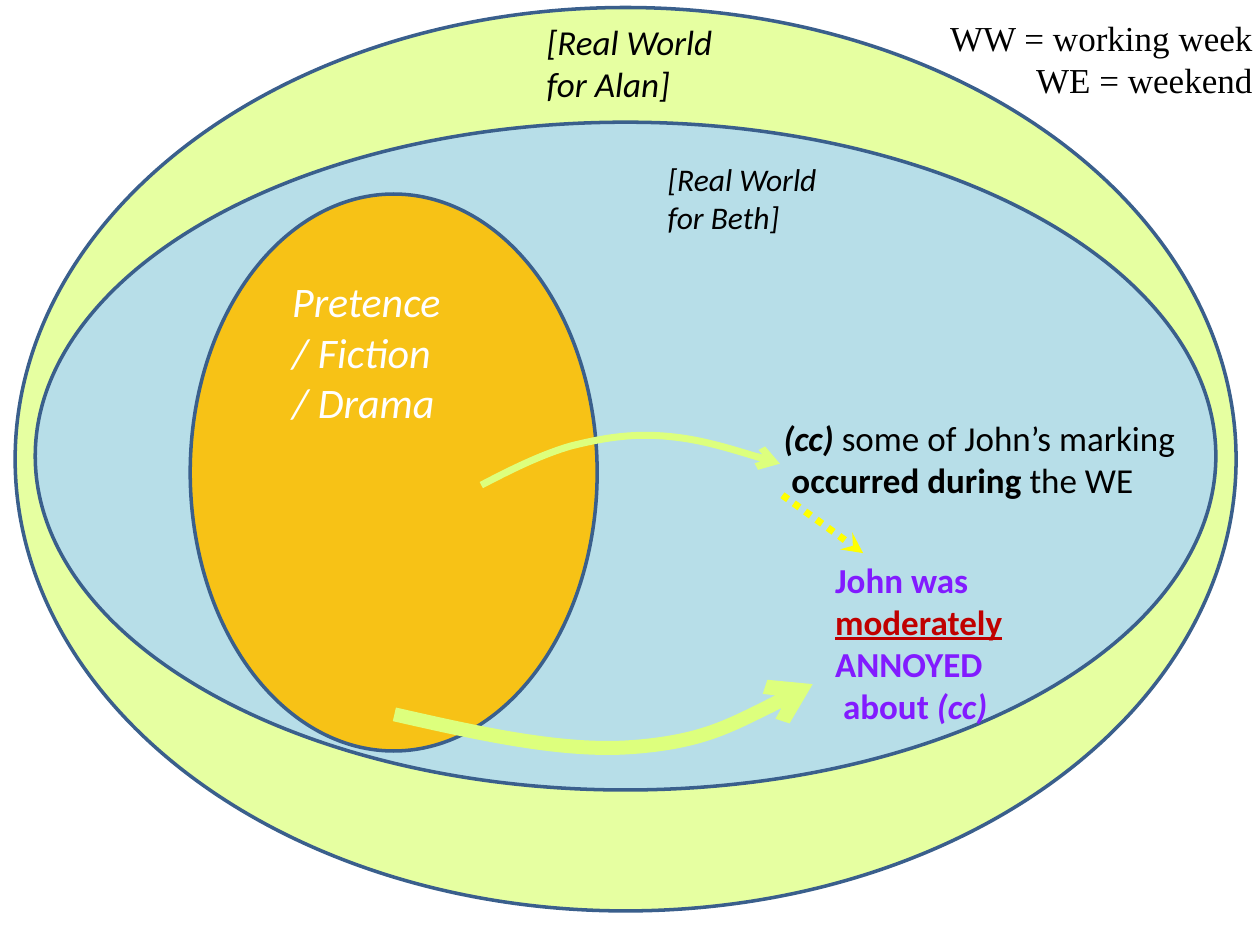
from lxml import etree
from pptx import Presentation
from pptx.dml.color import RGBColor
from pptx.enum import dml, shapes, text
from pptx.oxml.ns import qn
from pptx.util import Inches, Pt

LIME = RGBColor(0xDD, 0xFF, 0x7D)
BLUE = RGBColor(0xB7, 0xDE, 0xE8)
ORANGE = RGBColor(0xFF, 0xC0, 0x00)
OUTLINE = RGBColor(0x3A, 0x5F, 0x8C)
YELLOW = RGBColor(0xFF, 0xFF, 0x00)
PURPLE = RGBColor(0x82, 0x1B, 0xFF)
RED = RGBColor(0xC0, 0x00, 0x00)
BLACK = RGBColor(0, 0, 0)
WHITE = RGBColor(0xFF, 0xFF, 0xFF)

# Nested worlds: box, fill, opacity in percent
ALAN_WORLD = ((0.12, 0.06, 9.69, 7.17), LIME, 72)
BETH_WORLD = ((0.28, 0.97, 9.37, 5.3), BLUE, 100)
FICTION = ((1.51, 1.54, 3.23, 4.42), ORANGE, 90)

BOLD, ITALIC = {"bold": True}, {"italic": True}
BOTH = BOLD | ITALIC

# Labels: box, size, colour, paragraphs of (text, format) runs
KEY = ((7.36, 0.08, 2.68, 1.11), 20, BLACK,
       [[("WW = working week WE = weekend", {"name": "Times New Roman"})]])
ALAN_LABEL = ((4.24, 0.11, 1.52, 0.77), 20, BLACK,
              [[("[Real World for Alan]", ITALIC)]])
BETH_LABEL = ((5.2, 1.22, 1.78, 0.71), 18, BLACK,
              [[("[Real World", ITALIC)], [("for Beth]", ITALIC)]])
FICTION_LABEL = ((2.22, 2.14, 1.81, 1.31), 24, WHITE,
                 [[(line, ITALIC)] for line in ("Pretence", "/ Fiction", "/ Drama")])
MARKING = ((6.12, 3.26, 3.35, 0.77), 20, BLACK,
           [[("(cc) ", BOTH), ("some of John’s marking", {})],
            [(" ", {}), ("occurred during ", BOLD), ("the WE", {})]])
ANNOYED = ((6.53, 4.38, 2.17, 1.45), 20, PURPLE,
           [[("John was ", BOLD),
             ("moderately", BOLD | {"underline": True, "color": RED}),
             (" ", BOLD), ("ANNOYED", BOLD)],
            [(" about ", BOLD), ("(cc)", BOTH)]])

# Curved arrows: width, start point followed by Bezier triples
TO_MARKING = (4, [(3.82, 3.85),
                  (4.05, 3.73), (4.29, 3.61), (4.53, 3.54),
                  (4.77, 3.48), (4.99, 3.44), (5.26, 3.46),
                  (5.54, 3.48), (5.86, 3.58), (6.19, 3.68)])
TO_ANNOYED = (8, [(3.13, 5.67),
                  (3.79, 5.82), (4.46, 5.97), (5.01, 5.93),
                  (5.57, 5.89), (6.01, 5.66), (6.45, 5.43)])
CAUSE = ((6.21, 3.93), (6.85, 4.39))


def inches(values):
    return [Inches(v) for v in values]


def add_world(s, box, color, opacity):
    sp = s.shapes.add_shape(shapes.MSO_SHAPE.OVAL, *inches(box))
    sp.shadow.inherit = False
    sp.fill.solid()
    sp.fill.fore_color.rgb = color
    sp.line.color.rgb = OUTLINE
    sp.line.width = Pt(2)
    if opacity < 100:
        clr = sp._element.spPr.find(qn("a:solidFill"))[0]
        etree.SubElement(clr, qn("a:alpha"), val=str(opacity * 1000))


def add_label(s, box, size, color, paragraphs, align=None):
    tf = s.shapes.add_textbox(*inches(box)).text_frame
    tf.word_wrap = True
    tf.auto_size = text.MSO_AUTO_SIZE.SHAPE_TO_FIT_TEXT
    for i, runs in enumerate(paragraphs):
        p = tf.add_paragraph() if i else tf.paragraphs[0]
        p.alignment = align
        for words, fmt in runs:
            r = p.add_run()
            r.text = words
            style = {"name": "Calibri", "size": Pt(size), "color": color} | fmt
            r.font.color.rgb = style.pop("color")
            for key, value in style.items():
                setattr(r.font, key, value)


def style_arrow(sp, color, width, head):
    sp.line.color.rgb = color
    sp.line.width = Pt(width)
    etree.SubElement(sp.line._get_or_add_ln(), qn("a:tailEnd"), type=head)


def add_curve(s, width, points):
    """Draw the control points as a polyline, then merge each triple into a Bezier."""
    start, *rest = [inches(pt) for pt in points]
    builder = s.shapes.build_freeform(*start)
    builder.add_line_segments(rest, close=False)
    sp = builder.convert_to_shape()
    sp.shadow.inherit = False
    sp.fill.background()
    style_arrow(sp, LIME, width, "arrow")
    lines = list(sp._element.iter(qn("a:lnTo")))
    path = lines[0].getparent()
    for i in range(0, len(lines), 3):
        curve = etree.SubElement(path, qn("a:cubicBezTo"))
        for line in lines[i:i + 3]:
            curve.append(line[0])
            path.remove(line)


def add_cause(s, start, end):
    cx = s.shapes.add_connector(shapes.MSO_CONNECTOR.STRAIGHT,
                                *inches(start), *inches(end))
    cx.line.dash_style = dml.MSO_LINE.ROUND_DOT
    style_arrow(cx, YELLOW, 4, "stealth")
    etree.SubElement(cx._element.spPr, qn("a:effectLst"))


def main():
    prs = Presentation()
    prs.slide_width, prs.slide_height = Inches(10), Inches(7.5)
    s = prs.slides.add_slide(prs.slide_layouts[6])
    add_world(s, *ALAN_WORLD)
    add_label(s, *KEY, align=text.PP_ALIGN.RIGHT)
    add_label(s, *ALAN_LABEL)
    add_world(s, *BETH_WORLD)
    add_label(s, *MARKING)
    add_label(s, *ANNOYED)
    add_cause(s, *CAUSE)
    add_label(s, *BETH_LABEL)
    add_world(s, *FICTION)
    add_curve(s, *TO_MARKING)
    add_curve(s, *TO_ANNOYED)
    add_label(s, *FICTION_LABEL)
    prs.save("out.pptx")


if __name__ == "__main__":
    main()
